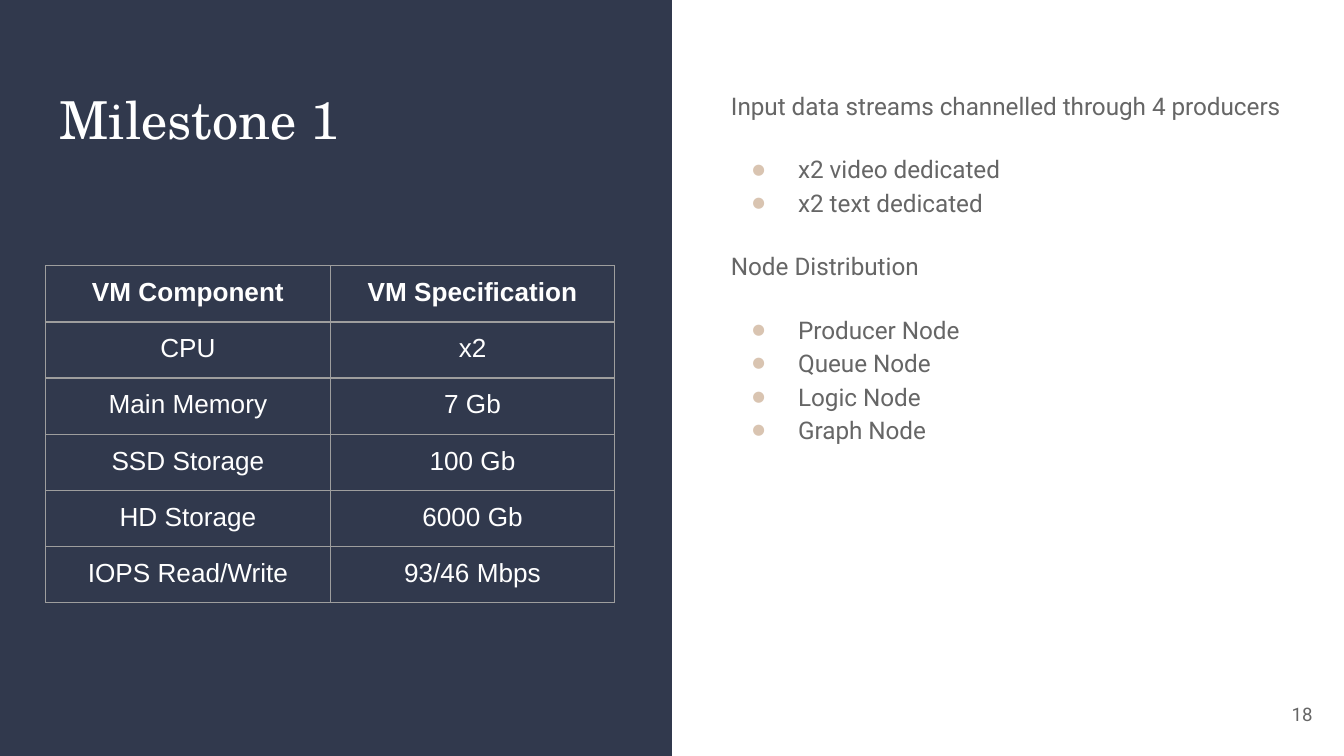
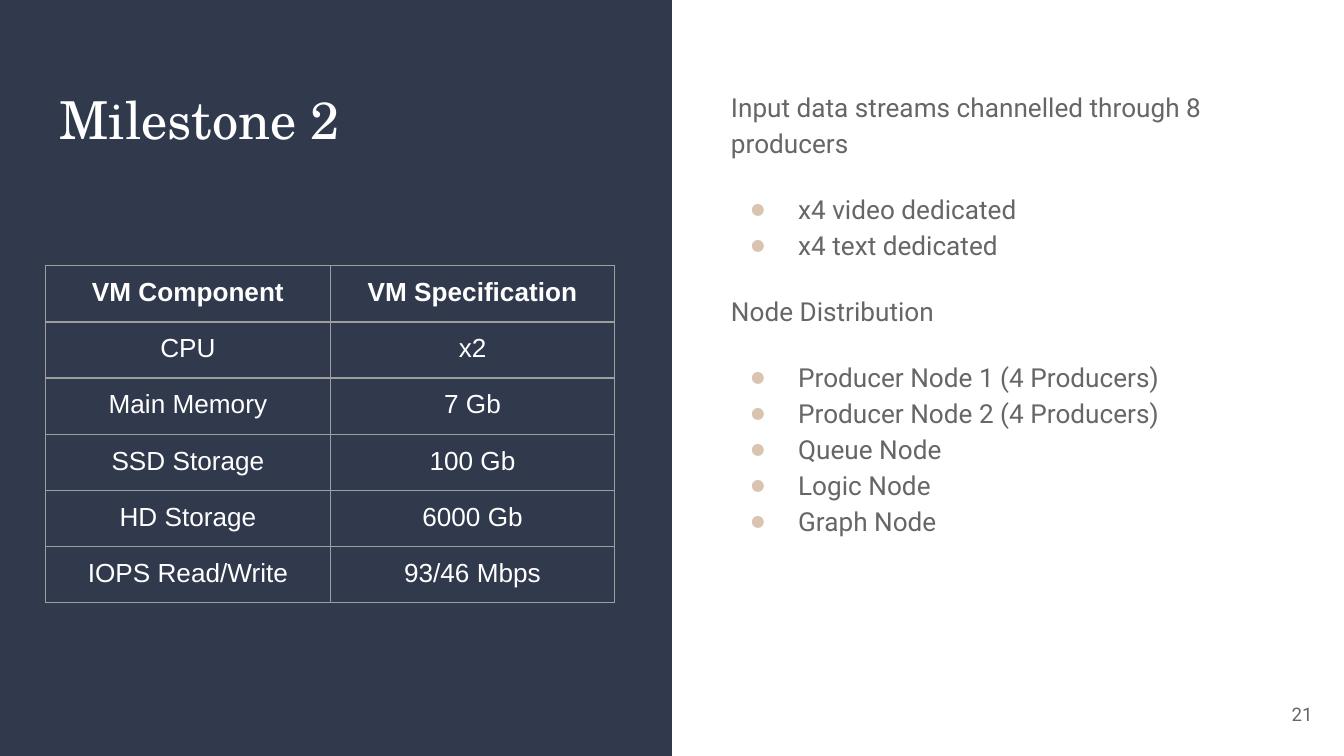
from dataclasses import dataclass
from typing import NamedTuple

from lxml import etree
from pptx import Presentation, util as u
from pptx.dml.color import RGBColor
from pptx.enum import shapes, text
from pptx.oxml.ns import qn

NAVY = RGBColor(0x31, 0x39, 0x4D)
WHITE = RGBColor(0xFF, 0xFF, 0xFF)
GREY = RGBColor(0x66, 0x66, 0x66)
SAND = RGBColor(0xD9, 0xC4, 0xB1)
RULE = RGBColor(0x9E, 0x9E, 0x9E)

TITLE_FONT, BODY_FONT, TABLE_FONT = "TeX Gyre Schola", "Roboto", "Arial"
WIDTH, HEIGHT = u.Inches(10), u.Inches(5.625)
INSET, CELL_INSET = u.Inches(0.1), u.Inches(0.09)


class Area(NamedTuple):
    """A rectangle in percent of the slide's width and height."""
    left: float
    top: float
    width: float
    height: float

    def box(self) -> tuple[int, int, int, int]:
        return (round(self.left * WIDTH / 100), round(self.top * HEIGHT / 100),
                round(self.width * WIDTH / 100), round(self.height * HEIGHT / 100))


BAND = Area(0, 0, 50, 100)
TITLE = Area(3.45, 9.78, 40.5, 39.82)
BODY = Area(53.4, 9.73, 43.2, 80)
SPECS = Area(3.4, 35.15, 42.35, 44.6)
PAGE = Area(92.65, 90.67, 6, 7.64)


@dataclass
class Topic:
    heading: str
    bullets: list[str]


@dataclass
class Milestone:
    title: str
    page: int
    body_size: int
    bullet_hang: float
    topics: list[Topic]


VM_SPECS = [
    ("VM Component", "VM Specification"),
    ("CPU", "x2"),
    ("Main Memory", "7 Gb"),
    ("SSD Storage", "100 Gb"),
    ("HD Storage", "6000 Gb"),
    ("IOPS Read/Write", "93/46 Mbps"),
]

MILESTONES = [
    Milestone("Milestone 1", 18, 13, 0.34, [
        Topic("Input data streams channelled through 4 producers",
              ["x2 video dedicated", "x2 text dedicated"]),
        Topic("Node Distribution",
              ["Producer Node", "Queue Node", "Logic Node", "Graph Node"]),
    ]),
    Milestone("Milestone 2", 21, 14, 0.35, [
        Topic("Input data streams channelled through 8 producers",
              ["x4 video dedicated", "x4 text dedicated"]),
        Topic("Node Distribution",
              ["Producer Node 1 (4 Producers)", "Producer Node 2 (4 Producers)",
               "Queue Node", "Logic Node", "Graph Node"]),
    ]),
]


def write(paragraph, words: str, *, font: str, size: float, color: RGBColor,
          bold: bool = False, align=text.PP_ALIGN.LEFT,
          spacing: float = 1.0, before: float = 0) -> None:
    paragraph.alignment = align
    paragraph.line_spacing = spacing
    paragraph.space_before = u.Pt(before)
    run = paragraph.add_run()
    run.text = words
    run.font.name, run.font.size, run.font.bold = font, u.Pt(size), bold
    run.font.color.rgb = color


def add_frame(slide, area: Area, anchor=text.MSO_ANCHOR.TOP):
    frame = slide.shapes.add_textbox(*area.box()).text_frame
    frame.word_wrap = True
    frame.vertical_anchor = anchor
    frame.margin_left = frame.margin_right = INSET
    frame.margin_top = frame.margin_bottom = INSET
    return frame


def add_bullet(paragraph, hang: float) -> None:
    props = paragraph._p.get_or_add_pPr()
    props.set("marL", str(u.Inches(0.5)))
    props.set("indent", str(-u.Inches(hang)))
    tint = etree.SubElement(props, qn("a:buClr"))
    etree.SubElement(tint, qn("a:srgbClr"), val=str(SAND))
    etree.SubElement(props, qn("a:buSzPct"), val="60000")
    etree.SubElement(props, qn("a:buFont"), typeface=BODY_FONT)
    etree.SubElement(props, qn("a:buChar"), char="●")


def outline_cell(cell) -> None:
    props = cell._tc.get_or_add_tcPr()
    for side in "LRTB":
        line = etree.SubElement(props, qn(f"a:ln{side}"), w=str(u.Pt(0.75)))
        fill = etree.SubElement(line, qn("a:solidFill"))
        etree.SubElement(fill, qn("a:srgbClr"), val=str(RULE))


def add_band(slide) -> None:
    band = slide.shapes.add_shape(shapes.MSO_SHAPE.RECTANGLE, *BAND.box())
    band.shadow.inherit = False
    band.fill.solid()
    band.fill.fore_color.rgb = NAVY
    band.line.fill.background()


def add_topics(slide, milestone: Milestone) -> None:
    frame = add_frame(slide, BODY)
    style = dict(font=BODY_FONT, size=milestone.body_size, color=GREY, spacing=1.15)
    for t, topic in enumerate(milestone.topics):
        heading = frame.add_paragraph() if t else frame.paragraphs[0]
        write(heading, topic.heading, before=16 if t else 0, **style)
        for b, words in enumerate(topic.bullets):
            bullet = frame.add_paragraph()
            write(bullet, words, before=0 if b else 16, **style)
            add_bullet(bullet, milestone.bullet_hang)


def add_specs(slide) -> None:
    table = slide.shapes.add_table(len(VM_SPECS), len(VM_SPECS[0]), *SPECS.box()).table
    table.horz_banding = table.first_row = False
    for r, row in enumerate(VM_SPECS):
        for c, words in enumerate(row):
            cell = table.cell(r, c)
            cell.margin_left = cell.margin_right = INSET
            cell.margin_top = cell.margin_bottom = CELL_INSET
            outline_cell(cell)
            cell.fill.background()
            write(cell.text_frame.paragraphs[0], words, font=TABLE_FONT, size=14,
                  color=WHITE, bold=r == 0, align=text.PP_ALIGN.CENTER)


def add_milestone(deck, milestone: Milestone) -> None:
    slide = deck.slides.add_slide(deck.slide_layouts[6])
    add_band(slide)
    write(add_frame(slide, TITLE).paragraphs[0], milestone.title,
          font=TITLE_FONT, size=28, color=WHITE)
    add_topics(slide, milestone)
    add_specs(slide)
    write(add_frame(slide, PAGE, text.MSO_ANCHOR.MIDDLE).paragraphs[0],
          str(milestone.page), font=BODY_FONT, size=10, color=GREY,
          align=text.PP_ALIGN.RIGHT)


def main() -> None:
    deck = Presentation()
    deck.slide_width, deck.slide_height = WIDTH, HEIGHT
    for milestone in MILESTONES:
        add_milestone(deck, milestone)
    deck.save("out.pptx")


if __name__ == "__main__":
    main()
